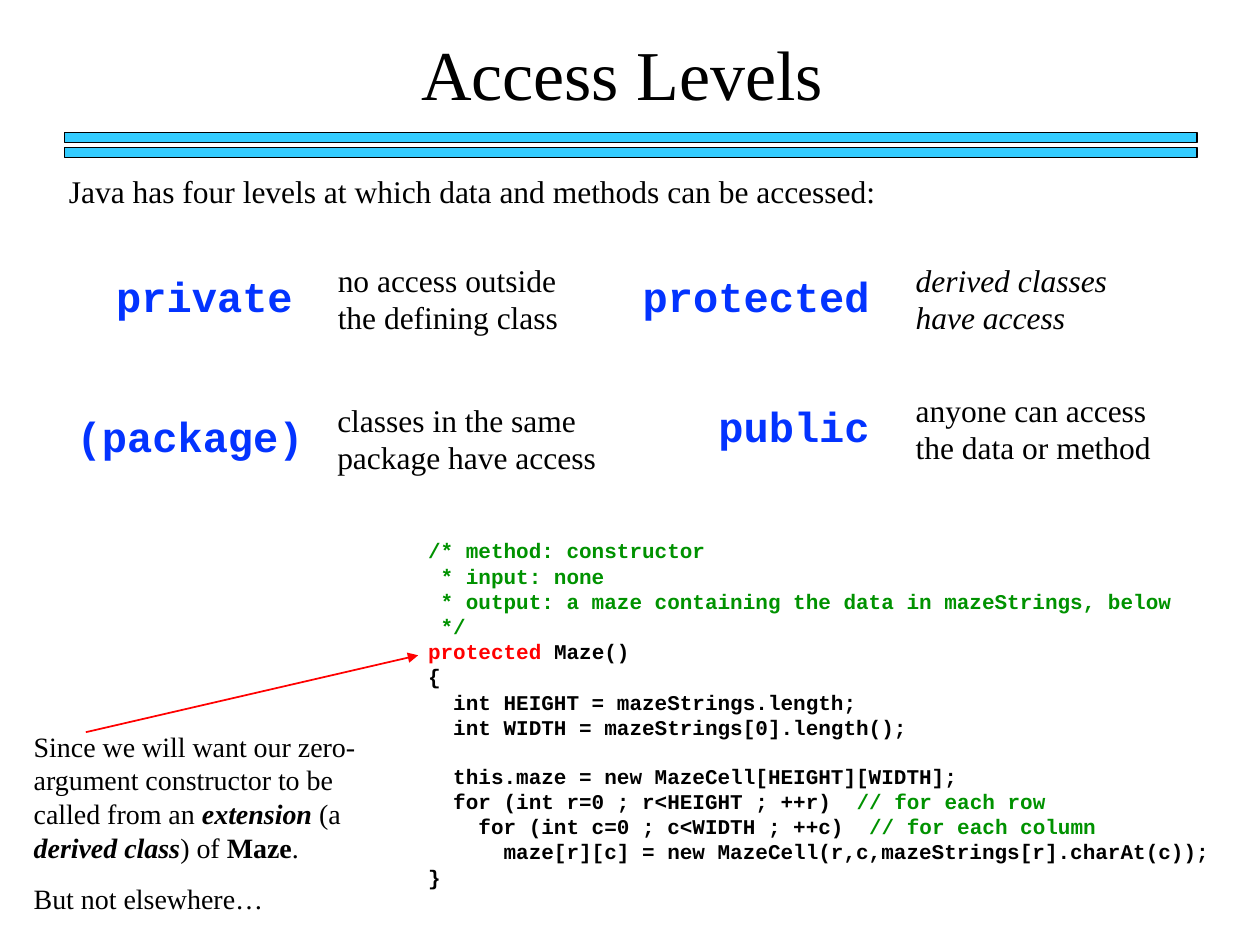
from dataclasses import dataclass

import pptx
import pptx.dml.color
import pptx.enum.shapes
import pptx.enum.text
import pptx.util
from lxml import etree

Cm = pptx.util.Cm
ALIGN = pptx.enum.text.PP_ALIGN


@dataclass(frozen=True)
class Theme:
    """Fonts, colours and type sizes of the slide."""
    serif: str = "Times New Roman"
    mono: str = "Courier New"
    ink: str = "000000"
    bar: str = "33CCFF"
    keyword: str = "0333FF"
    comment: str = "009200"
    accent: str = "FF0000"
    title_size: int = 40
    keyword_size: int = 24
    body_size: int = 18
    note_size: int = 16
    code_size: int = 12
    code_gap: float = 13.6


@dataclass(frozen=True)
class Box:
    """A region of the slide in centimetres."""
    left: float
    top: float
    width: float
    height: float

    def emu(self):
        """Return left, top, width and height as lengths."""
        return Cm(self.left), Cm(self.top), Cm(self.width), Cm(self.height)


THEME = Theme()

LEVELS = [
    ("private", "no access outside the defining class", False, Box(0.64, 5.13, 11.43, 1.78), 5.92),
    ("(package)", "classes in the same package have access", False, Box(0.86, 7.95, 11.61, 1.78), 5.69),
    ("protected", "derived classes have access", True, Box(12.27, 5.13, 11.45, 1.78), 5.94),
    ("public", "anyone can access the data or method", False, Box(12.27, 7.75, 11.45, 1.78), 5.94),
]

CODE = """/* method: constructor
 * input: none
 * output: a maze containing the data in mazeStrings, below
 */
protected Maze()
{
  int HEIGHT = mazeStrings.length;
  int WIDTH = mazeStrings[0].length();

  this.maze = new MazeCell[HEIGHT][WIDTH];
  for (int r=0 ; r<HEIGHT ; ++r)  // for each row
    for (int c=0 ; c<WIDTH ; ++c)  // for each column
      maze[r][c] = new MazeCell(r,c,mazeStrings[r].charAt(c));
}"""

NOTE = [
    [("Since we will want our zero-argument constructor to be called from an ", False, False),
     ("extension ", True, True), ("(a ", False, False), ("derived class", True, True),
     (") of ", False, False), ("Maze", True, False), (".", False, False)],
    [("But not elsewhere…", False, False)],
]


def rgb(value):
    """Turn a hex string into a colour."""
    return pptx.dml.color.RGBColor.from_string(value)


def style(font, face, size, color=THEME.ink, bold=False, italic=False):
    """Format one font."""
    font.name, font.size = face, pptx.util.Pt(size)
    font.bold, font.italic = bold, italic
    font.color.rgb = rgb(color)


def add_frame(slide, box, wrap=True):
    """Add a text box and return its text frame."""
    frame = slide.shapes.add_textbox(*box.emu()).text_frame
    frame.word_wrap = wrap
    return frame


def add_line_of_text(slide, box, text, face, size, align=ALIGN.LEFT, **look):
    """Add a text box holding one paragraph in one style."""
    paragraph = add_frame(slide, box).paragraphs[0]
    paragraph.text, paragraph.alignment = text, align
    style(paragraph.runs[0].font, face, size, **look)


def next_paragraph(frame, index):
    """Return the first paragraph or a new one."""
    return frame.add_paragraph() if index else frame.paragraphs[0]


def add_heading(slide, box, text):
    """Place and format the slide title."""
    heading = slide.shapes.title
    heading.left, heading.top, heading.width, heading.height = box.emu()
    frame = heading.text_frame
    frame.text = text
    frame.auto_size = pptx.enum.text.MSO_AUTO_SIZE.NONE
    frame.vertical_anchor = pptx.enum.text.MSO_ANCHOR.TOP
    frame.paragraphs[0].alignment = ALIGN.CENTER
    style(frame.paragraphs[0].runs[0].font, THEME.serif, THEME.title_size)


def add_double_rule(slide, box):
    """Draw two equal bars at the top and bottom of the box."""
    thickness = 0.2
    for top in (box.top, box.top + box.height - thickness):
        bar = slide.shapes.add_shape(pptx.enum.shapes.MSO_SHAPE.RECTANGLE,
                                     *Box(box.left, top, box.width, thickness).emu())
        bar.shadow.inherit = False
        bar.fill.solid()
        bar.fill.fore_color.rgb = rgb(THEME.bar)
        bar.line.color.rgb = rgb(THEME.ink)
        bar.line.width = pptx.util.Pt(0.75)


def add_level(slide, box, keyword, meaning, italic, meaning_offset):
    """Put an access keyword beside its meaning."""
    keyword_box = Box(box.left, box.top + 0.2, 5.51, 1.27)
    add_line_of_text(slide, keyword_box, keyword, THEME.mono, THEME.keyword_size,
                     ALIGN.RIGHT, color=THEME.keyword, bold=True)
    meaning_box = Box(box.left + meaning_offset, box.top, box.width - meaning_offset, box.height)
    add_line_of_text(slide, meaning_box, meaning, THEME.serif, THEME.body_size, italic=italic)


def code_pieces(line):
    """Split a code line into coloured pieces."""
    if line.startswith(("/*", " *")):
        return [(line, THEME.comment)]
    if line.startswith("protected"):
        return [("protected", THEME.accent), (line.removeprefix("protected"), THEME.ink)]
    statement, slashes, remark = line.partition("//")
    pieces = [(statement, THEME.ink), (slashes + remark, THEME.comment)]
    return [piece for piece in pieces if piece[0]]


def add_code(slide, box, code):
    """Set the code listing, with a line of space between its blocks."""
    frame = add_frame(slide, box, wrap=False)
    lines = code.split("\n")
    for index, line in enumerate(lines):
        if not line:
            continue
        paragraph = next_paragraph(frame, index)
        if index and not lines[index - 1]:
            paragraph.space_before = pptx.util.Pt(THEME.code_gap)
        for text, color in code_pieces(line):
            run = paragraph.add_run()
            run.text = text
            style(run.font, THEME.mono, THEME.code_size, color, bold=True)


def add_note(slide, box, paragraphs):
    """Set the remark and its arrow to the constructor."""
    frame = add_frame(slide, box)
    for index, pieces in enumerate(paragraphs):
        paragraph = next_paragraph(frame, index)
        if index:
            paragraph.space_before = pptx.util.Pt(10)
        for text, bold, italic in pieces:
            run = paragraph.add_run()
            run.text = text
            style(run.font, THEME.serif, THEME.note_size, bold=bold, italic=italic)
    arrow = slide.shapes.add_connector(
        pptx.enum.shapes.MSO_CONNECTOR.STRAIGHT, Cm(box.left + 1.3), Cm(box.top + 0.18),
        Cm(box.left + 8), Cm(box.top - 1.37))
    arrow.line.color.rgb = rgb(THEME.accent)
    arrow.line.width = pptx.util.Pt(1)
    properties = arrow.element.spPr
    namespace = "{http://schemas.openxmlformats.org/drawingml/2006/main}"
    etree.SubElement(properties.find(namespace + "ln"), namespace + "tailEnd", type="triangle")
    etree.SubElement(properties, namespace + "effectLst")


def main():
    """Build and save the slide."""
    deck = pptx.Presentation()
    deck.slide_width, deck.slide_height = Cm(25.4), Cm(19.05)
    slide = deck.slides.add_slide(deck.slide_layouts.get_by_name("Title Only"))
    add_heading(slide, Box(3.23, 0.48, 18.62, 1.96), "Access Levels")
    add_double_rule(slide, Box(1.3, 2.67, 22.83, 0.5))
    add_line_of_text(slide, Box(1.14, 3.35, 20.45, 1.02),
                     "Java has four levels at which data and methods can be accessed:",
                     THEME.serif, THEME.body_size)
    for keyword, meaning, italic, box, offset in LEVELS:
        add_level(slide, box, keyword, meaning, italic, offset)
    add_code(slide, Box(8.38, 10.72, 16.26, 7.37), CODE)
    add_note(slide, Box(0.43, 14.58, 7.42, 3.99), NOTE)
    deck.save("out.pptx")


if __name__ == "__main__":
    main()
